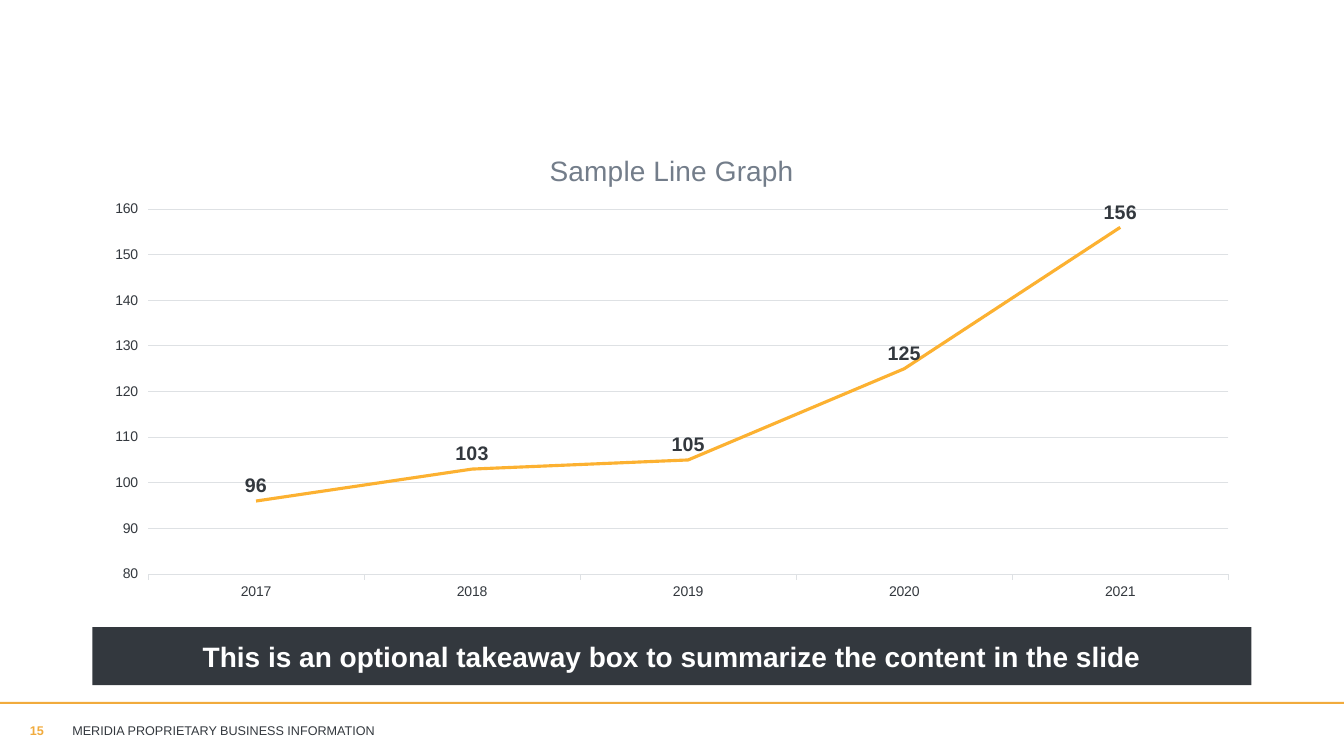
from dataclasses import dataclass

from pptx import Presentation
from pptx.chart.data import CategoryChartData
from pptx.dml.color import RGBColor
from pptx.enum.chart import XL_CHART_TYPE, XL_LABEL_POSITION, XL_MARKER_STYLE, XL_TICK_MARK
from pptx.enum.shapes import MSO_SHAPE
from pptx.enum.text import MSO_ANCHOR, PP_ALIGN
from pptx.oxml import parse_xml
from pptx.oxml.ns import nsdecls
from pptx.util import Pt

CHART_TITLE = "Sample Line Graph"
SERIES_NAME = "Series 1"
VALUES = {"2017": 96, "2018": 103, "2019": 105, "2020": 125, "2021": 156}
TAKEAWAY = "This is an optional takeaway box to summarize the content in the slide"
FOOTER = "MERIDIA PROPRIETARY BUSINESS INFORMATION"
PAGE_NUMBER = "15"


@dataclass(frozen=True)
class Theme:
    font: str = "Arial"
    dark: RGBColor = RGBColor(0x33, 0x38, 0x3E)
    gray: RGBColor = RGBColor(0x73, 0x7D, 0x8A)
    grid: RGBColor = RGBColor(0xDE, 0xE1, 0xE4)
    accent: RGBColor = RGBColor(0xF1, 0xAB, 0x3D)
    series: RGBColor = RGBColor(0xFC, 0xB1, 0x31)
    white: RGBColor = RGBColor(0xFF, 0xFF, 0xFF)
    heading: int = 20
    label: int = 14
    axis: int = 10
    footer: int = 9


THEME = Theme()
PAGE_WIDTH, PAGE_HEIGHT = 960, 540
CONTENT_LEFT = 66
CONTENT_WIDTH = PAGE_WIDTH - 2 * CONTENT_LEFT
CHART_TOP, CHART_HEIGHT = 92, 343.5
TAKEAWAY_TOP, TAKEAWAY_HEIGHT = 448, 41.5
RULE_TOP, RULE_HEIGHT = 501.25, 1.5


def style_font(font, size, color, bold=False):
    font.name = THEME.font
    font.size = Pt(size)
    font.bold = bold
    font.color.rgb = color


def write(shape, text, size, color, bold=False, anchor=MSO_ANCHOR.MIDDLE, align=PP_ALIGN.LEFT):
    frame = shape.text_frame
    frame.word_wrap = True
    frame.vertical_anchor = anchor
    para = frame.paragraphs[0]
    para.text = text
    para.alignment = align
    style_font(para.font, size, color, bold)


def add_bar(page, left, top, width, height, color):
    bar = page.shapes.add_shape(MSO_SHAPE.RECTANGLE, Pt(left), Pt(top), Pt(width), Pt(height))
    bar.shadow.inherit = False
    bar.fill.solid()
    bar.fill.fore_color.rgb = color
    bar.line.fill.background()
    return bar


def manual_layout(**places):
    modes = "".join(f'<c:{key}Mode val="edge"/>' for key in "xy")
    values = "".join(f'<c:{key} val="{value}"/>' for key, value in places.items())
    target = '<c:layoutTarget val="inner"/>' if "w" in places else ""
    return parse_xml(
        f'<c:layout {nsdecls("c")}><c:manualLayout>{target}{modes}{values}</c:manualLayout></c:layout>'
    )


def place_chart_part(part, layout):
    for old in part.xpath("./c:layout"):
        part.remove(old)
    texts = part.xpath("./c:tx")
    if texts:
        texts[0].addnext(layout)
    else:
        part.insert(0, layout)


def style_line(line, color, width):
    line.color.rgb = color
    line.width = Pt(width)


def add_line_chart(page):
    data = CategoryChartData()
    data.categories = list(VALUES)
    data.add_series(SERIES_NAME, list(VALUES.values()))
    chart = page.shapes.add_chart(
        XL_CHART_TYPE.LINE, Pt(CONTENT_LEFT), Pt(CHART_TOP), Pt(CONTENT_WIDTH), Pt(CHART_HEIGHT), data
    ).chart
    chart.has_legend = False
    style_font(chart.font, THEME.axis, THEME.dark)

    chart.has_title = True
    para = chart.chart_title.text_frame.paragraphs[0]
    para.text = CHART_TITLE
    style_font(para.font, THEME.heading, THEME.gray)
    chart.chart_title.include_in_layout = False
    place_chart_part(chart.element.xpath("./c:chart/c:title")[0], manual_layout(x=0.39, y=0.04))
    place_chart_part(
        chart.element.xpath("./c:chart/c:plotArea")[0],
        manual_layout(x=0.048, y=0.167, w=0.932, h=0.759),
    )

    for axis in (chart.category_axis, chart.value_axis):
        style_font(axis.tick_labels.font, THEME.axis, THEME.dark)
        axis.major_tick_mark = XL_TICK_MARK.OUTSIDE
    style_line(chart.category_axis.format.line, THEME.grid, 0.75)
    values = chart.value_axis
    values.minimum_scale = 80
    values.maximum_scale = 160
    values.major_unit = 10
    values.format.line.fill.background()
    style_line(values.major_gridlines.format.line, THEME.grid, 0.75)

    chart.plots[0].vary_by_categories = False
    series = chart.plots[0].series[0]
    series.smooth = False
    series.marker.style = XL_MARKER_STYLE.NONE
    style_line(series.format.line, THEME.series, 2.25)
    labels = series.data_labels
    labels.show_value = True
    labels.position = XL_LABEL_POSITION.ABOVE
    style_font(labels.font, THEME.label, THEME.dark, bold=True)


def main():
    deck = Presentation()
    deck.slide_width, deck.slide_height = Pt(PAGE_WIDTH), Pt(PAGE_HEIGHT)
    page = deck.slides.add_slide(deck.slide_layouts[6])

    add_bar(page, 0, RULE_TOP, PAGE_WIDTH, RULE_HEIGHT, THEME.accent)
    footer = page.shapes.add_textbox(Pt(44.6), Pt(507.6), Pt(309), Pt(28.8))
    write(footer, FOOTER, THEME.footer, THEME.dark)
    number = page.shapes.add_textbox(Pt(14.2), Pt(512.6), Pt(35.3), Pt(28.8))
    write(number, PAGE_NUMBER, THEME.footer, THEME.accent, bold=True, anchor=MSO_ANCHOR.TOP)

    add_line_chart(page)
    takeaway = add_bar(page, CONTENT_LEFT, TAKEAWAY_TOP, CONTENT_WIDTH, TAKEAWAY_HEIGHT, THEME.dark)
    write(takeaway, TAKEAWAY, THEME.heading, THEME.white, bold=True, align=PP_ALIGN.CENTER)
    deck.save("out.pptx")


if __name__ == "__main__":
    main()
